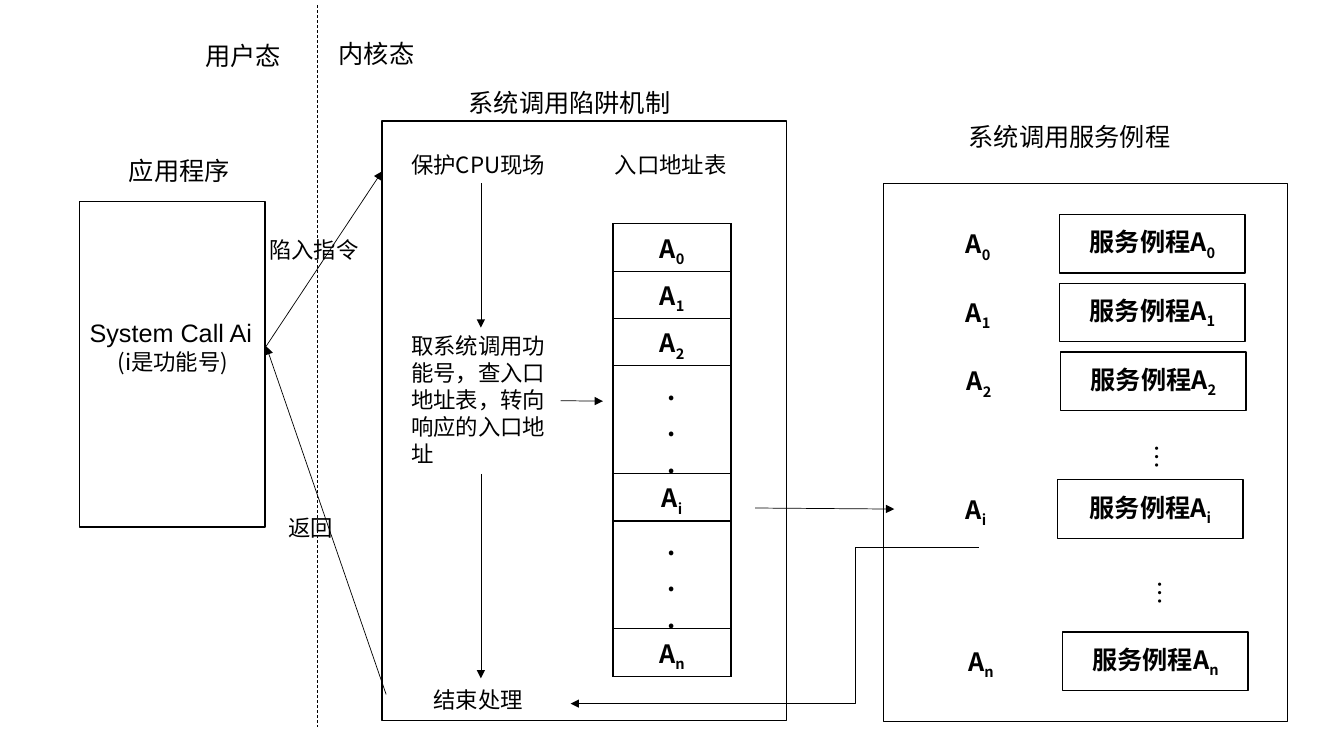
from pptx import Presentation
from pptx.dml.color import RGBColor
from pptx.enum.dml import MSO_LINE
from pptx.enum.shapes import MSO_CONNECTOR, MSO_SHAPE
from pptx.enum.text import MSO_ANCHOR, MSO_AUTO_SIZE, PP_ALIGN
from pptx.oxml.ns import qn
from pptx.util import Inches, Pt
from lxml.etree import SubElement

COLORS = {"ink": "000000", "paper": "FFFFFF"}
SANS = "Noto Sans CJK SC"
TOP, LEFT, BOTTOM, RIGHT = range(4)


def rgb(name):
    return RGBColor.from_string(COLORS[name])


def write(paragraph, text, size=18, font=SANS, bold=False, align=PP_ALIGN.LEFT, sub=""):
    paragraph.alignment = align
    for part, baseline in ((text, 0), (sub, -25000)):
        if not part:
            continue
        run = paragraph.add_run()
        run.text = part
        run.font.size = Pt(size)
        run.font.bold = bold
        run.font.name = font
        run.font.color.rgb = rgb("ink")
        properties = run._r.get_or_add_rPr()
        SubElement(properties, qn("a:ea")).set("typeface", font)
        if baseline:
            properties.set("baseline", str(baseline))


class Diagram:
    def __init__(self, slide, outline=1, thin=0.5):
        self.shapes = slide.shapes
        self.outline = Pt(outline)
        self.thin = Pt(thin)

    def label(self, left, top, width, height, text, vertical=False, **style):
        box = self.shapes.add_textbox(Inches(left), Inches(top), Inches(width), Inches(height))
        frame = box.text_frame
        frame.word_wrap = True
        frame.auto_size = MSO_AUTO_SIZE.SHAPE_TO_FIT_TEXT
        if vertical:
            frame._txBody.bodyPr.set("vert", "eaVert")
        write(frame.paragraphs[0], text, **style)
        return box

    def box(self, left, top, width, height, text="", **style):
        shape = self.shapes.add_shape(
            MSO_SHAPE.RECTANGLE, Inches(left), Inches(top), Inches(width), Inches(height))
        shape.shadow.inherit = False
        shape.fill.background()
        shape.line.color.rgb = rgb("ink")
        shape.line.width = self.outline
        if text:
            shape.text_frame.vertical_anchor = MSO_ANCHOR.MIDDLE
            write(shape.text_frame.paragraphs[0], text, **style)
        return shape

    def line(self, start, end, begin=None, finish=None, arrow=True, dashed=False, bend=None):
        kind = MSO_CONNECTOR.STRAIGHT if bend is None else MSO_CONNECTOR.ELBOW
        connector = self.shapes.add_connector(kind, *map(Inches, start + end))
        if begin:
            connector.begin_connect(*begin)
        if finish:
            connector.end_connect(*finish)
        connector.line.color.rgb = rgb("ink")
        connector.line.width = self.thin
        if dashed:
            connector.line.dash_style = MSO_LINE.DASH
        if arrow:
            SubElement(connector.line._get_or_add_ln(), qn("a:tailEnd")).set("type", "triangle")
        properties = connector._element.spPr
        if bend is not None:
            guides = properties.find(qn("a:prstGeom")).find(qn("a:avLst"))
            guide = SubElement(guides, qn("a:gd"))
            guide.set("name", "adj1")
            guide.set("fmla", f"val {round(bend * 100000)}")
        SubElement(properties, qn("a:effectLst"))

    def address_table(self, left, top, width, entries):
        heights = [0.47 if entry else 1.07 for entry in entries]
        frame = self.shapes.add_table(
            len(entries), 1, Inches(left), Inches(top), Inches(width), Inches(sum(heights)))
        table = frame.table
        table.first_row = table.horz_banding = False
        for row, (entry, height) in enumerate(zip(entries, heights)):
            table.rows[row].height = Inches(height)
            cell = table.cell(row, 0)
            cell.vertical_anchor = MSO_ANCHOR.MIDDLE
            self.cell_border(cell)
            cell.fill.solid()
            cell.fill.fore_color.rgb = rgb("paper")
            frame = cell.text_frame
            for text in "A" if entry else "...":
                paragraph = frame.paragraphs[0]
                if paragraph.runs:
                    paragraph = frame.add_paragraph()
                write(paragraph, text, sub=entry, bold=True, align=PP_ALIGN.CENTER)

    def cell_border(self, cell):
        properties = cell._tc.get_or_add_tcPr()
        for side in ("a:lnL", "a:lnR", "a:lnT", "a:lnB"):
            edge = SubElement(properties, qn(side))
            edge.set("w", str(self.outline))
            fill = SubElement(edge, qn("a:solidFill"))
            SubElement(fill, qn("a:srgbClr")).set("val", COLORS["ink"])


def main():
    deck = Presentation()
    deck.slide_width, deck.slide_height = Inches(13.33), Inches(7.5)
    diagram = Diagram(deck.slides.add_slide(deck.slide_layouts[6]))

    diagram.line((3.15, 0.05), (3.15, 7.21), arrow=False, dashed=True)
    diagram.label(3.26, 0.33, 1.45, 0.4, "内核态")
    diagram.label(1.94, 0.35, 1.45, 0.4, "用户态")

    diagram.box(0.79, 2, 1.84, 3.23)
    diagram.label(1.18, 1.49, 1.45, 0.4, "应用程序")
    system_call = diagram.label(0.79, 3.1, 1.85, 0.67, "System Call Ai", font="Arial")
    write(system_call.text_frame.add_paragraph(), "(i是功能号)", size=16, align=PP_ALIGN.CENTER)

    diagram.box(3.79, 1.2, 4.01, 5.95)
    diagram.label(4.55, 0.82, 2.51, 0.4, "系统调用陷阱机制")
    save_context = diagram.label(3.98, 1.45, 1.58, 0.37, "保护CPU现场", size=16)
    look_up = diagram.label(
        3.98, 3.25, 1.58, 1.45, "取系统调用功能号，查入口地址表，转向响应的入口地址", size=16)
    diagram.label(4.2, 6.76, 1.58, 0.37, "结束处理", size=16)
    diagram.label(6, 1.45, 1.58, 0.37, "入口地址表", size=16)
    diagram.address_table(6.08, 2.22, 1.17, ["0", "1", "2", "", "i", "", "n"])

    diagram.box(8.76, 1.82, 4.01, 5.34)
    diagram.label(9.51, 1.15, 2.51, 0.4, "系统调用服务例程")
    routines = {"0": (10.51, 2.13), "1": (10.51, 2.81), "2": (10.52, 3.49),
                "i": (10.49, 4.76), "n": (10.54, 6.27)}
    for index, (left, top) in routines.items():
        style = dict(sub=index, bold=True, align=PP_ALIGN.CENTER)
        diagram.label(left - 1.2, top + 0.09, 0.78, 0.4, "A", **style)
        diagram.box(left, top, 1.84, 0.58, "服务例程A", **style)
    for left, top in ((11.18, 4.31), (11.21, 5.66)):
        diagram.label(left, top, 0.5, 0.39, "…", vertical=True)

    diagram.line((2.64, 3.44), (3.79, 1.7), begin=(system_call, RIGHT))
    diagram.line((3.83, 6.89), (2.64, 3.44), finish=(system_call, RIGHT))
    diagram.line((4.77, 1.82), (4.77, 3.25), begin=(save_context, BOTTOM), finish=(look_up, TOP))
    diagram.line((4.77, 4.7), (4.77, 6.73), begin=(look_up, BOTTOM))
    diagram.line((5.56, 3.98), (5.98, 3.98), begin=(look_up, RIGHT))
    diagram.line((7.49, 5.04), (8.87, 5.05))
    diagram.line((9.71, 5.43), (5.66, 6.98), bend=0.302)
    diagram.label(2.57, 2.29, 1.58, 0.37, "陷入指令", size=16)
    diagram.label(2.76, 5.05, 0.9, 0.37, "返回", size=16)

    deck.save("out.pptx")


if __name__ == "__main__":
    main()
